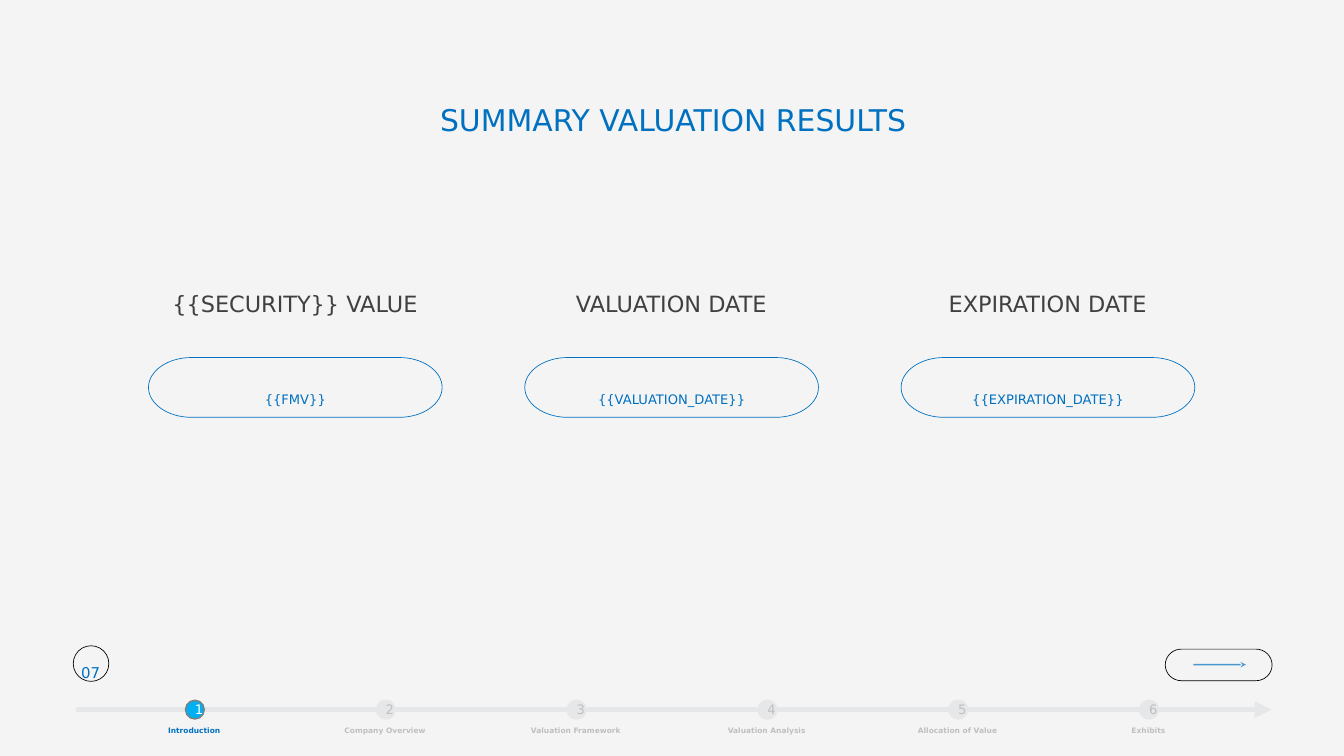
from dataclasses import dataclass

from lxml import etree
from pptx import Presentation
from pptx.dml.color import RGBColor
from pptx.enum.shapes import MSO_CONNECTOR, MSO_SHAPE
from pptx.enum.text import MSO_ANCHOR, MSO_AUTO_SIZE, PP_ALIGN
from pptx.oxml.ns import qn
from pptx.util import Inches, Pt

CENTER = PP_ALIGN.CENTER
TOP, MIDDLE = MSO_ANCHOR.TOP, MSO_ANCHOR.MIDDLE
GROW, FIXED = MSO_AUTO_SIZE.SHAPE_TO_FIT_TEXT, MSO_AUTO_SIZE.NONE
ELLIPSE = MSO_SHAPE.OVAL
STRAIGHT = MSO_CONNECTOR.STRAIGHT
ARC = 0.55


@dataclass(frozen=True)
class Theme:
    font: str = "DejaVu Sans"
    background: str = "F4F4F4"
    accent: str = "0070C0"
    active: str = "00B0F0"
    active_line: str = "7F7F7F"
    heading: str = "404040"
    track: str = "E6E7E8"
    muted: str = "BFBFBF"
    white: str = "FFFFFF"
    black: str = "000000"
    title_size: int = 32
    heading_size: int = 24
    page_size: int = 16
    value_size: int = 14
    step_size: int = 14
    label_size: int = 8


THEME = Theme()
RESULTS = [
    ("{{SECURITY}} VALUE", "{{FMV}}"),
    ("VALUATION DATE", "{{VALUATION_DATE}}"),
    ("EXPIRATION DATE", "{{EXPIRATION_DATE}}"),
]
STEPS = ["Introduction", "Company Overview", "Valuation Framework",
         "Valuation Analysis", "Allocation of Value", "Exhibits"]


def rgb(color):
    return RGBColor.from_string(color)


def write(sp, text, size, color, bold=False, spacing=None, anchor=TOP,
          margins=(0, 0), auto_size=GROW):
    tf = sp.text_frame
    tf.text = text
    tf.word_wrap = True
    tf.auto_size = auto_size
    tf.vertical_anchor = anchor
    tf.margin_left = tf.margin_right = Inches(margins[0])
    tf.margin_top = tf.margin_bottom = Inches(margins[1])
    p = tf.paragraphs[0]
    p.alignment = CENTER
    if spacing:
        p.line_spacing = spacing
    font = p.runs[0].font
    font.name, font.size, font.bold = THEME.font, Pt(size), bold
    font.color.rgb = rgb(color)


def add_text(s, left, top, width, height, text, size, color, **options):
    sp = s.shapes.add_textbox(Inches(left), Inches(top), Inches(width), Inches(height))
    write(sp, text, size, color, **options)


def style(sp, line, width, fill=None):
    sp.shadow.inherit = False
    if fill:
        sp.fill.solid()
        sp.fill.fore_color.rgb = rgb(fill)
    else:
        sp.fill.background()
    sp.line.color.rgb = rgb(line)
    sp.line.width = Pt(width)


def add_circle(s, left, top, size, line, weight, fill=None):
    sp = s.shapes.add_shape(ELLIPSE, Inches(left), Inches(top), Inches(size), Inches(size))
    style(sp, line, weight, fill)
    return sp


def curve_segment(segment, start, to_side):
    point = segment[0]
    x, y = int(point.get("x")), int(point.get("y"))
    dx, dy = round(ARC * (x - start[0])), round(ARC * (y - start[1]))
    if to_side:
        controls = [(start[0] + dx, start[1]), (x, y - dy)]
    else:
        controls = [(start[0], start[1] + dy), (x - dx, y)]
    curve = etree.Element(qn("a:cubicBezTo"))
    for px, py in controls + [(x, y)]:
        etree.SubElement(curve, qn("a:pt"), x=str(px), y=str(py))
    segment.getparent().replace(segment, curve)


def add_pill(s, left, top, width, height, end, color):
    right, bottom, middle = left + width, top + height, top + height / 2
    corners = [(left + end, top), (right - end, top), (right, middle),
               (right - end, bottom), (left + end, bottom), (left, middle),
               (left + end, top)]
    points = [(Inches(x), Inches(y)) for x, y in corners]
    builder = s.shapes.build_freeform(*points[0])
    builder.add_line_segments(points[1:], close=True)
    sp = builder.convert_to_shape()
    style(sp, color, 0.75)
    segments = list(sp.element.spPr.iter(qn("a:lnTo")))
    starts = [(x - Inches(left), y - Inches(top)) for x, y in points]
    for i, to_side in ((1, True), (2, False), (4, True), (5, False)):
        curve_segment(segments[i], starts[i], to_side)


def add_arrow(s, left, right, y, color, weight, head, opacity=None):
    line = s.shapes.add_connector(STRAIGHT, Inches(left), Inches(y), Inches(right), Inches(y))
    line.line.color.rgb = rgb(color)
    line.line.width = Pt(weight)
    props = line.element.spPr
    ln = props.find(qn("a:ln"))
    if opacity:
        alpha = etree.SubElement(next(ln.iter(qn("a:srgbClr"))), qn("a:alpha"))
        alpha.set("val", str(opacity * 1000))
    etree.SubElement(ln, qn("a:tailEnd")).set("type", head)
    etree.SubElement(props, qn("a:effectLst"))


def add_step(s, number, label, active):
    left = 2.22 + 2.84 * (number - 1)
    label_color = THEME.accent if active else THEME.muted
    number_color = THEME.white if active else THEME.muted
    fill = THEME.active if active else THEME.track
    line = THEME.active_line if active else THEME.track
    add_text(s, left, 10.77, 1.34, 0.2, label, THEME.label_size, label_color,
             bold=True, anchor=MIDDLE, margins=(0, 0.05), auto_size=FIXED)
    sp = add_circle(s, left + 0.54, 10.42, 0.28, line, 1.5, fill)
    write(sp, str(number), THEME.step_size, number_color,
          anchor=MIDDLE, margins=(0.1, 0.05), auto_size=FIXED)


def add_result(s, left, heading, value):
    add_pill(s, left, 5.32, 4.37, 0.89, 0.64, THEME.accent)
    add_text(s, left + 0.29, 5.58, 3.79, 0.35, value, THEME.value_size,
             THEME.accent, spacing=2.04)
    add_text(s, left - 0.45, 4.32, 5.26, 0.4, heading, THEME.heading_size, THEME.heading)


def add_next_button(s):
    add_pill(s, 17.34, 9.66, 1.59, 0.47, 0.24, THEME.black)
    add_arrow(s, 17.76, 18.54, 9.89, THEME.accent, 1.5, "stealth", opacity=70)


def add_page_number(s, text):
    add_circle(s, 1.09, 9.61, 0.53, THEME.black, 0.75)
    add_text(s, 1.03, 9.39, 0.64, 0.75, text, THEME.page_size, THEME.accent,
             spacing=2.79, anchor=MIDDLE)


def main():
    prs = Presentation()
    prs.slide_width, prs.slide_height = Inches(20), Inches(11.25)
    s = prs.slides.add_slide(prs.slide_layouts[6])
    s.background.fill.solid()
    s.background.fill.fore_color.rgb = rgb(THEME.background)

    add_text(s, 2.79, 1.04, 14.46, 0.73, "SUMMARY VALUATION RESULTS",
             THEME.title_size, THEME.accent, spacing=1.9)
    add_next_button(s)
    add_arrow(s, 1.13, 18.92, 10.56, THEME.track, 6, "triangle")
    for number, label in enumerate(STEPS, 1):
        add_step(s, number, label, active=number == 1)
    for i, (heading, value) in enumerate(RESULTS):
        add_result(s, 2.21 + 5.6 * i, heading, value)
    add_page_number(s, "07")
    prs.save("out.pptx")


if __name__ == "__main__":
    main()
